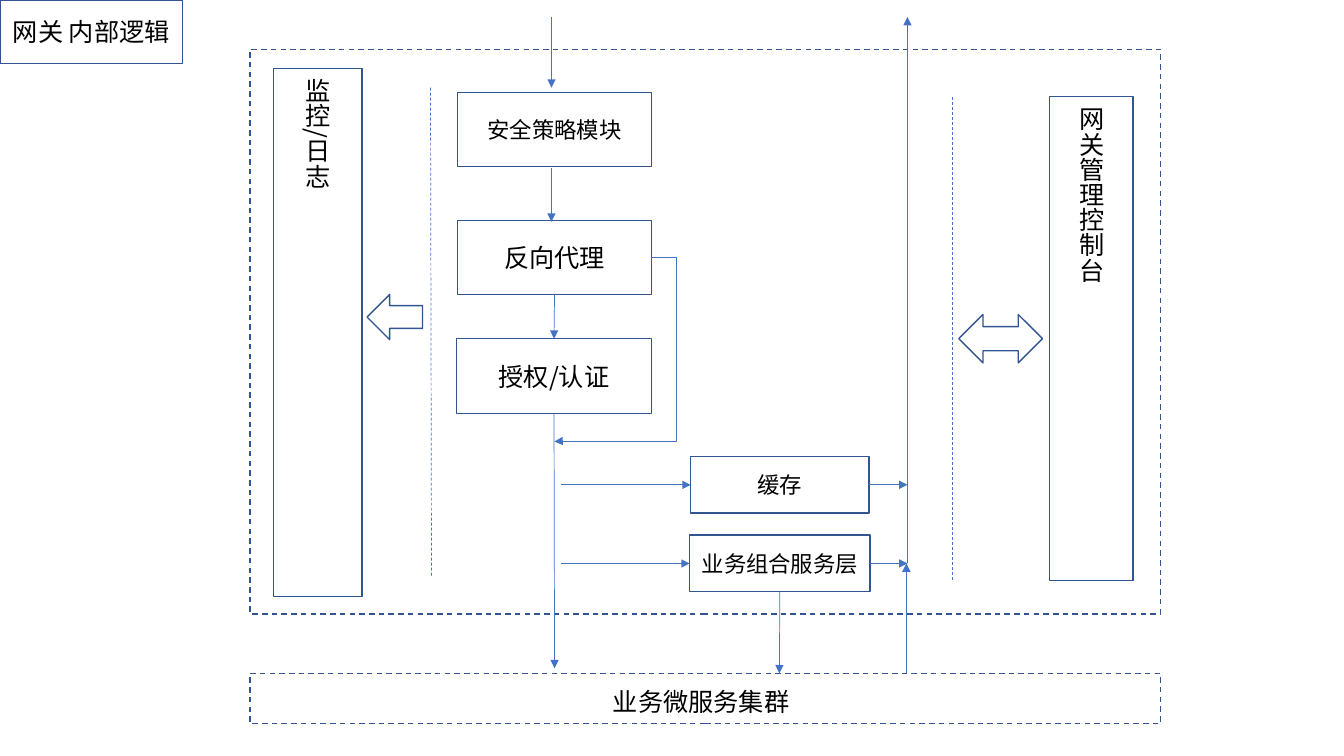
from lxml import etree
from pptx import Presentation
from pptx.dml.color import RGBColor
from pptx.enum.dml import MSO_LINE
from pptx.enum.shapes import MSO_CONNECTOR as CONN, MSO_SHAPE as SHAPE
from pptx.enum.text import MSO_ANCHOR, MSO_AUTO_SIZE, PP_ALIGN
from pptx.oxml.ns import qn
from pptx.util import Inches, Pt

BORDER = RGBColor(0x32, 0x54, 0x91)
ARROW = RGBColor(0x44, 0x72, 0xC4)
BLACK = RGBColor(0, 0, 0)
FONT = "Noto Sans CJK SC"
TOP, LEFT, BOTTOM, RIGHT = range(4)

prs = Presentation()
prs.slide_width, prs.slide_height = Inches(13.33), Inches(7.5)
s = prs.slides.add_slide(prs.slide_layouts[6])


def write(sp, text, size):
    p = sp.text_frame.paragraphs[0]
    r = p.add_run()
    r.text = text
    for name, value in {"name": FONT, "size": Pt(size)}.items():
        setattr(r.font, name, value)
    r.font.color.rgb = BLACK
    etree.SubElement(r.font._element, qn("a:ea"), typeface=FONT)
    return p


def connect(start, end, dash=False, kind=CONN.STRAIGHT):
    """Add a thin line: dashed without a head, or solid with an arrowhead."""
    c = s.shapes.add_connector(kind, *map(Inches, (*start, *end)))
    c.line.color.rgb = ARROW
    c.line.width = Pt(0.5)
    if dash:
        c.line.dash_style = MSO_LINE.DASH
    else:
        etree.SubElement(c.line._get_or_add_ln(), qn("a:tailEnd"), type="triangle")
    etree.SubElement(c._element.spPr, qn("a:effectLst"))
    return c


# Frames, boxes and block arrows: key, preset, place, text, size, style
SHAPES = [
    ("gateway", SHAPE.RECTANGLE, (2.48, 0.49, 9.03, 5.6), "", 0, "dash"),
    ("monitor", SHAPE.RECTANGLE, (2.71, 0.68, 0.88, 5.24), "监控/日志", 18, "vertical"),
    ("auth", SHAPE.RECTANGLE, (4.53, 3.36, 1.93, 0.74), "授权/认证", 18, ""),
    ("proxy", SHAPE.RECTANGLE, (4.54, 2.19, 1.92, 0.73), "反向代理", 18, ""),
    ("security", SHAPE.RECTANGLE, (4.54, 0.92, 1.92, 0.73), "安全策略模块", 16, ""),
    ("composition", SHAPE.RECTANGLE, (6.84, 5.31, 1.79, 0.56), "业务组合服务层", 16, ""),
    ("console", SHAPE.RECTANGLE, (10.41, 0.96, 0.83, 4.8), "网关管理控制台", 18, "vertical"),
    ("console arrow", SHAPE.LEFT_RIGHT_ARROW, (9.51, 3.12, 0.83, 0.48), "", 0, ""),
    ("cache", SHAPE.RECTANGLE, (6.85, 4.53, 1.77, 0.56), "缓存", 16, ""),
    ("cluster", SHAPE.RECTANGLE, (2.48, 6.68, 9.03, 0.5), "", 0, "dash"),
    ("monitor arrow", SHAPE.LEFT_ARROW, (3.64, 2.92, 0.55, 0.45), "", 0, ""),
    ("heading", SHAPE.RECTANGLE, (0, 0, 1.81, 0.63), "网关 内部逻辑", 18, ""),
]
boxes = {}
for key, preset, place, text, size, style in SHAPES:
    sp = boxes[key] = s.shapes.add_shape(preset, *map(Inches, place))
    sp.shadow.inherit = False
    sp.fill.background()
    sp.line.color.rgb = BORDER
    sp.line.width = Pt(1)
    if style == "dash":
        sp.line.dash_style = MSO_LINE.DASH
    if text:
        sp.text_frame.vertical_anchor = MSO_ANCHOR.MIDDLE
        write(sp, text, size).alignment = PP_ALIGN.CENTER
    if style == "vertical":
        sp.text_frame._txBody.bodyPr.set("vert", "eaVert")

label = s.shapes.add_textbox(*map(Inches, (5.98, 6.76, 1.97, 0.4)))
label.text_frame.word_wrap = False
label.text_frame.auto_size = MSO_AUTO_SIZE.SHAPE_TO_FIT_TEXT
write(label, "业务微服务集群", 18)

# Dashed dividers beside the side panels
connect((9.45, 0.96), (9.45, 5.77), dash=True)
connect((4.27, 0.87), (4.28, 5.72), dash=True)

# Request path downwards
connect((5.47, 0.17), (5.47, 0.87))
connect((5.47, 1.67), (5.47, 2.2))
c = connect((5.5, 2.92), (5.5, 3.36))
c.begin_connect(boxes["proxy"], BOTTOM)
c.end_connect(boxes["auth"], TOP)
connect((5.5, 4.1), (5.5, 6.63)).begin_connect(boxes["auth"], BOTTOM)
connect((7.73, 5.87), (7.73, 6.68)).begin_connect(boxes["composition"], BOTTOM)

# Branches through the cache and the composition layer to the response path
for key, y in (("cache", 4.81), ("composition", 5.59)):
    connect((5.56, y), (6.84, y)).end_connect(boxes[key], LEFT)
    connect((8.63, y), (9, y)).begin_connect(boxes[key], RIGHT)

# Response path upwards
connect((8.99, 6.68), (8.99, 5.59))
connect((9, 5.59), (9, 0.17))

# Bypass around the authorization box
bypass = connect((6.46, 2.55), (5.5, 4.38), kind=CONN.ELBOW)
geom = bypass._element.spPr.find(qn("a:prstGeom"))
geom.set("prst", "bentConnector4")
guides = geom.find(qn("a:avLst"))
for name, value in (("adj1", -25900), ("adj2", 99800)):
    etree.SubElement(guides, qn("a:gd"), name=name, fmla=f"val {value}")

prs.save("out.pptx")
